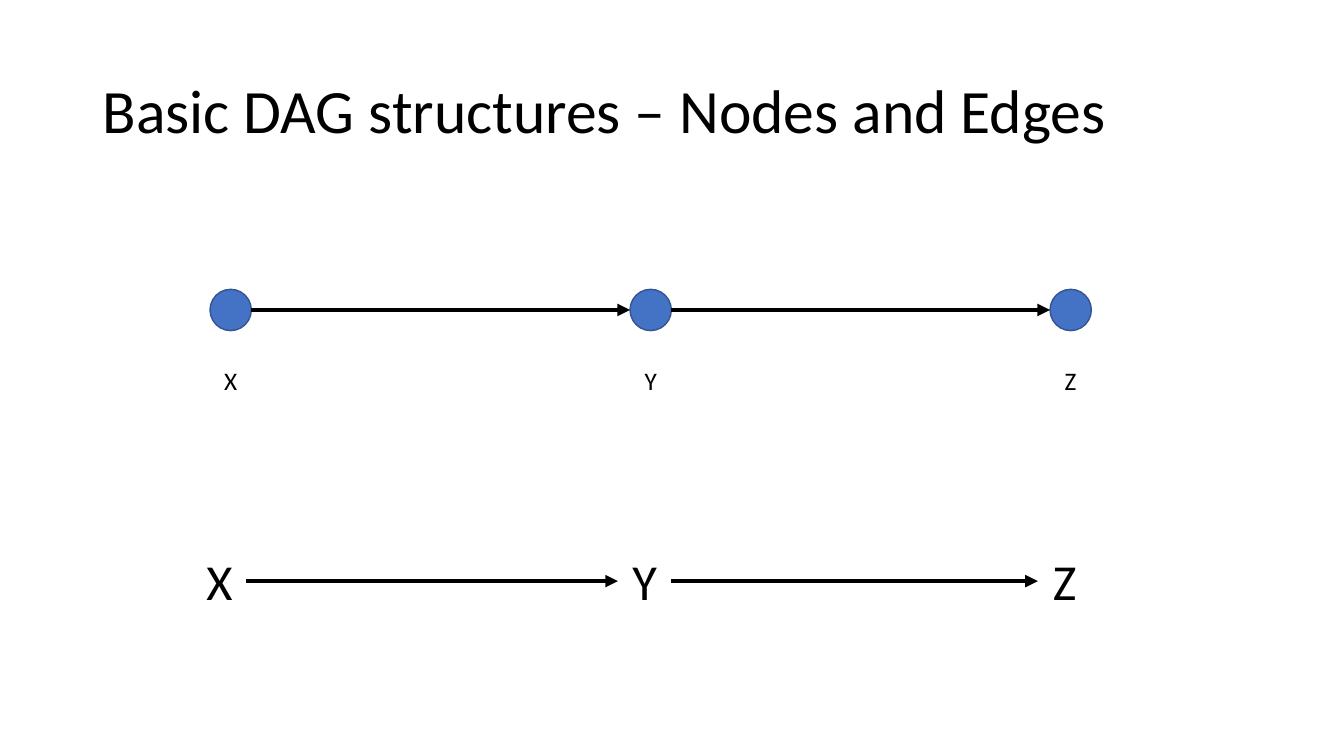
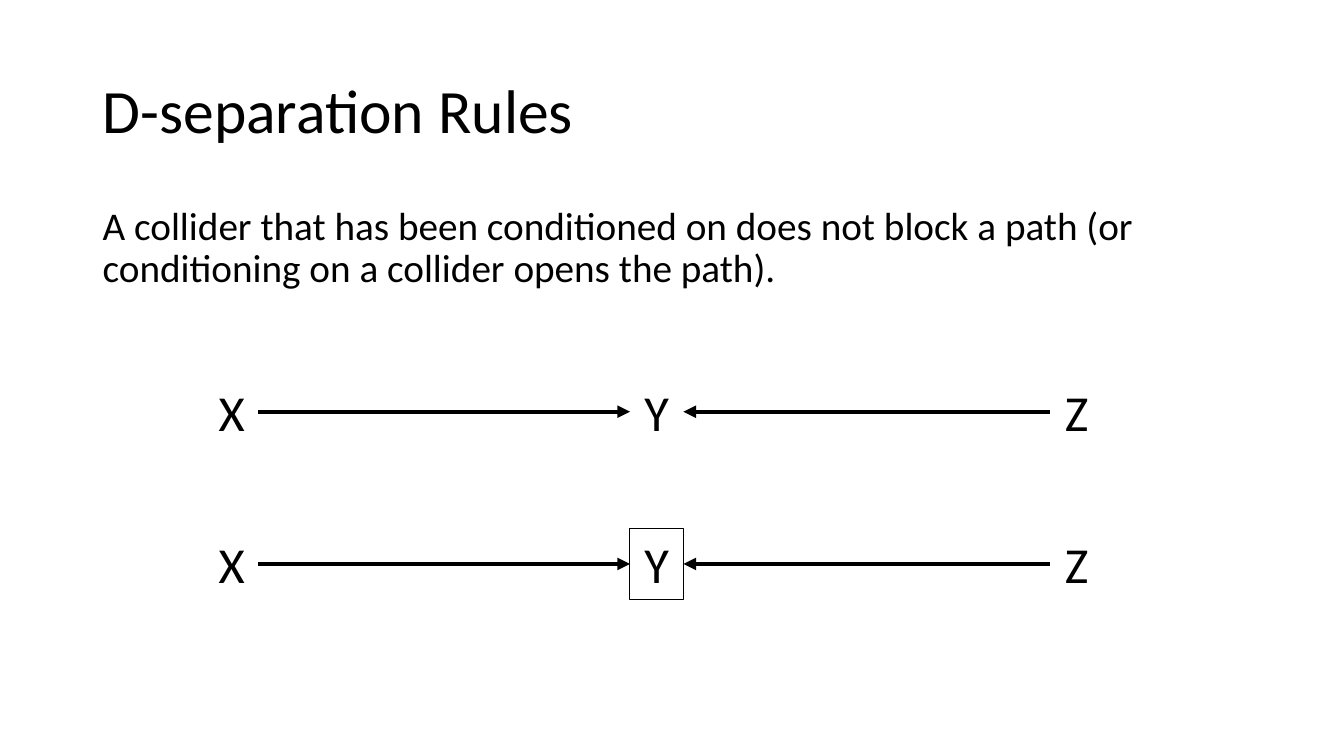
from pptx import Presentation
from pptx.dml.color import RGBColor
from pptx.enum.shapes import MSO_CONNECTOR, MSO_SHAPE
from pptx.enum.text import MSO_ANCHOR, MSO_AUTO_SIZE, PP_ALIGN
from pptx.oxml.ns import qn
from pptx.util import Inches, Pt
from lxml.etree import SubElement


class Theme:
    font = "Calibri"
    ink = RGBColor.from_string("000000")
    node = RGBColor.from_string("4472C4")
    rim = RGBColor.from_string("325491")
    title, body, big, small = Pt(44), Pt(28), Pt(36), Pt(18)
    edge, frame, ring = Pt(3), Pt(0.75), Pt(1)


deck = Presentation()
deck.slide_width, deck.slide_height = Inches(13.33), Inches(7.5)
wide = deck.slide_width
cols = [int(wide * n / 32) for n in (5, 15, 25)]
names = ["X", "Y", "Z"]
left, span = Inches(0.92), Inches(11.5)


def write(page, words, x, y, w, h, size, mid=True):
    box = page.shapes.add_textbox(x, y, w, h)
    frame = box.text_frame
    frame.word_wrap = True
    frame.text = words
    para = frame.paragraphs[0]
    para.font.name, para.font.size = Theme.font, size
    para.font.color.rgb = Theme.ink
    if mid:
        para.alignment = PP_ALIGN.CENTER
        frame.auto_size = MSO_AUTO_SIZE.SHAPE_TO_FIT_TEXT
    else:
        para.line_spacing = 0.9
    return box


def link(page, a, b, tip="tailEnd", glue=True):
    y = a.top + a.height // 2
    line = page.shapes.add_connector(MSO_CONNECTOR.STRAIGHT, a.left + a.width, y, b.left, y)
    if glue:
        line.begin_connect(a, 3)
        line.end_connect(b, 1)
    line.line.color.rgb = Theme.ink
    line.line.width = Theme.edge
    SubElement(line.line._get_or_add_ln(), qn("a:" + tip), type="triangle")
    SubElement(line._element.spPr, qn("a:effectLst"))


pages = []
for title in ("Basic DAG structures – Nodes and Edges", "D-separation Rules"):
    page = deck.slides.add_slide(deck.slide_layouts[6])
    head = write(page, title, left, Inches(0.4), span, Inches(1.45), Theme.title, False)
    head.text_frame.vertical_anchor = MSO_ANCHOR.MIDDLE
    pages.append(page)
basic, rules = pages

dot, tag = Inches(0.41), Inches(1.3)
nodes = []
for name, x in zip(names, cols):
    node = basic.shapes.add_shape(MSO_SHAPE.OVAL, x, Inches(2.87), dot, dot)
    node.shadow.inherit = False
    node.fill.solid()
    node.fill.fore_color.rgb = Theme.node
    node.line.color.rgb = Theme.rim
    node.line.width = Theme.ring
    nodes.append(node)
    write(basic, name, x + (dot - tag) // 2, Inches(3.58), tag, Inches(0.4), Theme.small)
for a, b in zip(nodes, nodes[1:]):
    link(basic, a, b, glue=False)

write(
    rules,
    "A collider that has been conditioned on does not block a path "
    "(or conditioning on a collider opens the path).",
    left, Inches(2), span, Inches(1.2), Theme.body, False,
)

starts = [cols[0] - Inches(0.05), *cols[1:]]
rows = [
    (basic, -0.12, 5.41, "tailEnd", False),
    (rules, 0, 3.73, "headEnd", False),
    (rules, 0, 5.24, "headEnd", True),
]
for page, shift, top, tip, framed in rows:
    x, y, z = [
        write(page, name, at + Inches(shift), Inches(top), Inches(0.53), Inches(0.71), Theme.big)
        for name, at in zip(names, starts)
    ]
    link(page, x, y)
    link(page, y, z, tip)
    if framed:
        y.line.color.rgb = Theme.ink
        y.line.width = Theme.frame

deck.save("out.pptx")
